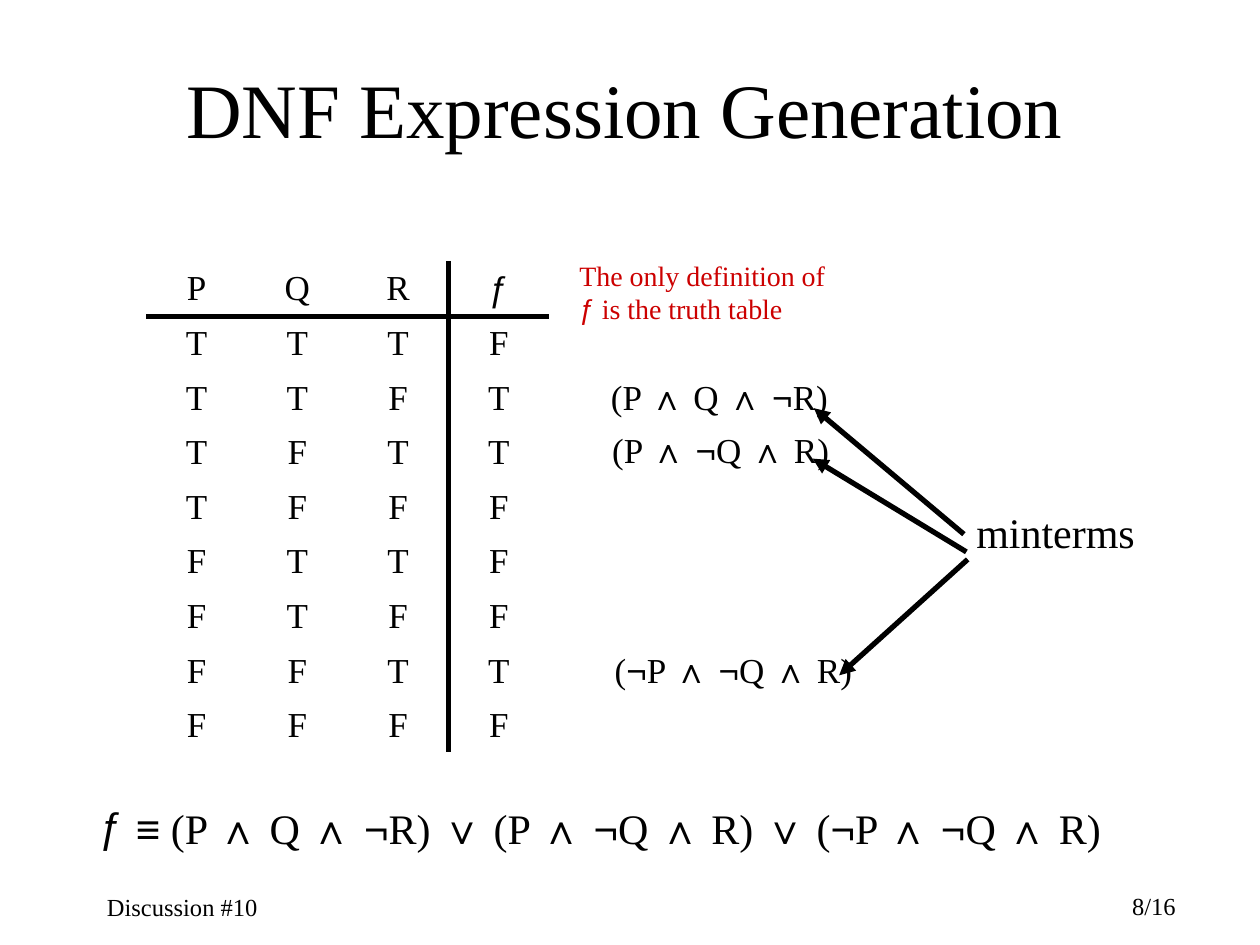
from itertools import product

from lxml import etree
from pptx import Presentation
from pptx.dml.color import RGBColor
from pptx.enum.shapes import MSO_CONNECTOR
from pptx.enum.text import MSO_ANCHOR, PP_ALIGN
from pptx.oxml.ns import qn
from pptx.util import Inches, Pt

BLACK = RGBColor(0x00, 0x00, 0x00)
RED = RGBColor(0xCC, 0x00, 0x00)
SERIF = "Times New Roman"
SANS = "Arial"
LEFT, CENTER, RIGHT = PP_ALIGN.LEFT, PP_ALIGN.CENTER, PP_ALIGN.RIGHT
TOP, MIDDLE = MSO_ANCHOR.TOP, MSO_ANCHOR.MIDDLE
STRAIGHT = MSO_CONNECTOR.STRAIGHT

deck = Presentation()
deck.slide_width = Inches(10)
deck.slide_height = Inches(7.5)
slide = deck.slides.add_slide(deck.slide_layouts[6])


def add_text(text, left, top, width, height, size, color=BLACK, align=LEFT, anchor=TOP, bullet=None):
    box = slide.shapes.add_textbox(Inches(left), Inches(top), Inches(width), Inches(height))
    frame = box.text_frame
    frame.word_wrap = True
    frame.vertical_anchor = anchor
    para = frame.paragraphs[0]
    para.alignment = align
    if bullet:
        props = para._p.get_or_add_pPr()
        props.set("marL", str(Inches(0.29)))
        props.set("indent", str(-Inches(0.29)))
        etree.SubElement(props, qn("a:buFont")).set("typeface", SANS)
        etree.SubElement(props, qn("a:buChar")).set("char", bullet)
    para.font.size = Pt(size)
    para.font.color.rgb = color
    parts = text.split("|")
    if len(parts) == 1:
        para.font.name = SERIF
    for i, part in enumerate(parts):
        if part:
            run = para.add_run()
            run.text = part
            if len(parts) > 1:
                run.font.name = SANS if i % 2 else SERIF


def add_line(start, end, arrow=False):
    line = slide.shapes.add_connector(STRAIGHT, *map(Inches, start + end))
    line.line.color.rgb = BLACK
    line.line.width = Pt(3)
    if arrow:
        tail = etree.SubElement(line.line._get_or_add_ln(), qn("a:tailEnd"))
        tail.set("type", "triangle")
    etree.SubElement(line._element.spPr, qn("a:effectLst"))


add_text("Discussion #10", 0.75, 7.03, 2.08, 0.32, 14)
add_text("8/16", 7.33, 7.02, 2.1, 0.33, 14, align=RIGHT)
add_text("DNF Expression Generation", 0.71, 0.23, 8.5, 1.25, 44, align=CENTER, anchor=MIDDLE)

inputs = product("TF", repeat=3)
rows = [("P", "Q", "R", "ƒ")] + [(*row, value) for row, value in zip(inputs, "FTTFFFTF")]
grid = slide.shapes.add_table(9, 4, Inches(1.16), Inches(2.07), Inches(3.2), Inches(3.9)).table
grid.first_row = False
grid.horz_banding = False
for r, row in enumerate(rows):
    grid.rows[r].height = Inches(3.9 / 9)
    for c, text in enumerate(row):
        cell = grid.cell(r, c)
        cell.fill.background()
        cell.margin_top = Inches(0.07)
        cell.margin_bottom = Inches(0.03)
        cell.text = text
        para = cell.text_frame.paragraphs[0]
        para.alignment = CENTER
        para.font.size = Pt(20)
        para.font.name = SANS if text == "ƒ" else SERIF
        para.font.color.rgb = BLACK

add_line((1.16, 2.51), (4.36, 2.51))
add_line((3.56, 2.07), (3.56, 5.97))

terms = ["(P |∧| Q |∧ ¬|R)", "(P |∧ ¬|Q |∧| R)", "(|¬|P |∧ ¬|Q |∧| R)"]
spots = [(4.75, 2.93, 2.22), (4.76, 3.35, 2.22), (4.78, 5.1, 2.56)]
for term, (left, top, width) in zip(terms, spots):
    add_text(term, left, top, width, 0.44, 20)

add_text("|≡| " + " |∨| ".join(terms), 0.69, 6.32, 8.83, 0.5, 24, bullet="ƒ")

add_text("minterms", 7.65, 3.97, 1.7, 0.5, 24)
arrows = [((7.65, 4.24), (6.46, 3.24)), ((7.67, 4.38), (6.45, 3.64)), ((7.68, 4.44), (6.66, 5.36))]
for start, end in arrows:
    add_line(start, end, arrow=True)

add_text("The only definition of |ƒ| is the truth table", 4.5, 2, 2.26, 0.64, 16, RED)

deck.save("out.pptx")
